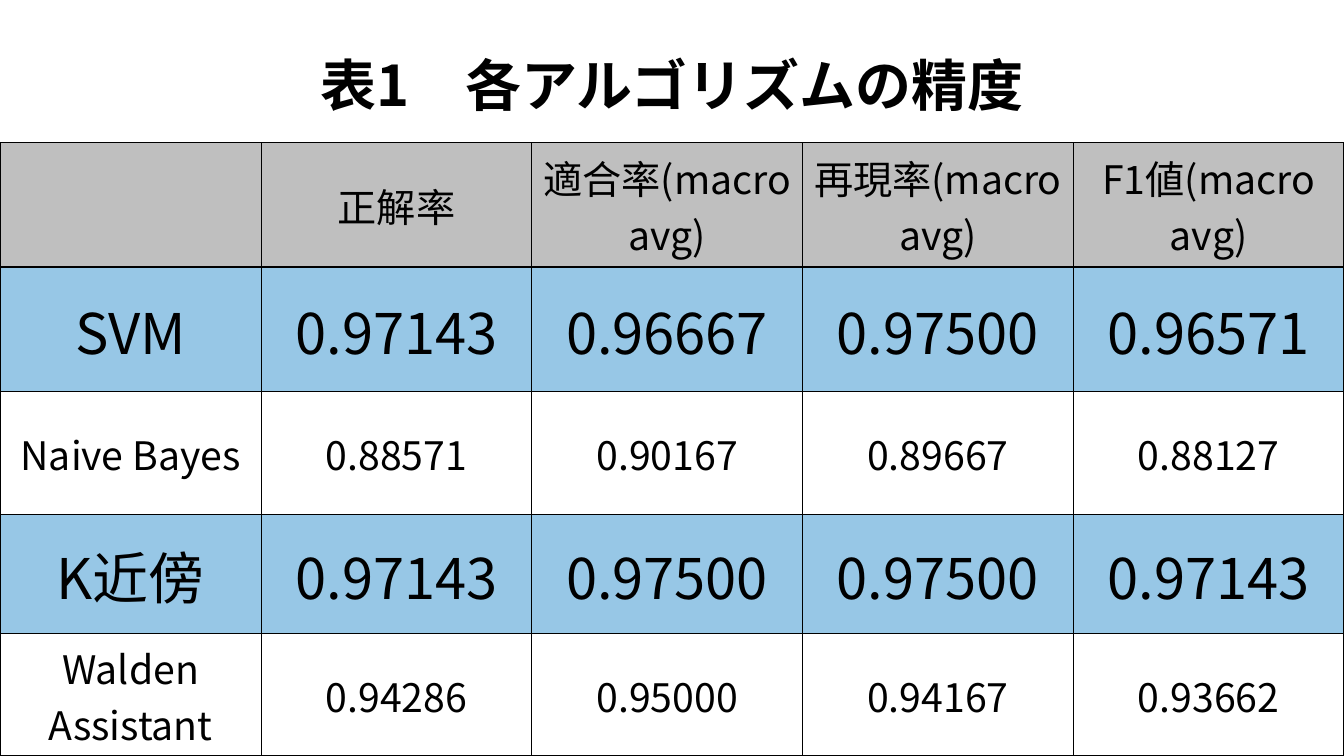
from dataclasses import dataclass

from lxml import etree
from pptx import Presentation
from pptx.dml.color import RGBColor
from pptx.enum.text import MSO_ANCHOR, MSO_AUTO_SIZE, PP_ALIGN
from pptx.oxml.ns import qn
from pptx.util import Cm, Pt

MIDDLE = MSO_ANCHOR.MIDDLE
CENTER = PP_ALIGN.CENTER
FIXED = MSO_AUTO_SIZE.NONE

TITLE = "表1　各アルゴリズムの精度"
HEAD = ["", "正解率", "適合率(macro avg)", "再現率(macro avg)", "F1値(macro avg)"]
SCORES = [
    ("SVM", 0.97143, 0.96667, 0.97500, 0.96571),
    ("Naive Bayes", 0.88571, 0.90167, 0.89667, 0.88127),
    ("K近傍", 0.97143, 0.97500, 0.97500, 0.97143),
    ("Walden Assistant", 0.94286, 0.95000, 0.94167, 0.93662),
]
BEST = {"SVM", "K近傍"}

WIDTH, HEIGHT = Cm(33.87), Cm(19.05)
TOP = Cm(3.6)
NAME_COL = Cm(6.58)
ROWS = [Cm(h) for h in (3.13, 3.13, 3.1, 3.01, 3.08)]


@dataclass(frozen=True)
class Theme:
    font: str = "Noto Sans CJK JP"
    ink: str = "000000"
    head: str = "BFBFBF"
    best: str = "97C7E6"
    large: int = 40
    normal: int = 28
    line: int = 1


THEME = Theme()


def style(para, size, bold=False):
    para.alignment = CENTER
    font = para.font
    font.name, font.size, font.bold = THEME.font, Pt(size), bold
    font.color.rgb = RGBColor.from_string(THEME.ink)
    east = etree.SubElement(font._element, qn("a:ea"))
    east.set("typeface", THEME.font)


def frame(cell):
    """Draw the four borders; must run before the cell is filled."""
    props = cell._tc.get_or_add_tcPr()
    for side in ("lnL", "lnR", "lnT", "lnB"):
        line = etree.SubElement(props, qn(f"a:{side}"), w=str(Pt(THEME.line)))
        fill = etree.SubElement(line, qn("a:solidFill"))
        etree.SubElement(fill, qn("a:srgbClr"), val=THEME.ink)


def fill_cell(cell, text, size, color):
    cell.margin_left = cell.margin_right = cell.margin_top = Cm(0.03)
    cell.margin_bottom = 0
    cell.vertical_anchor = MIDDLE
    frame(cell)
    if color:
        cell.fill.solid()
        cell.fill.fore_color.rgb = RGBColor.from_string(color)
    else:
        cell.fill.background()
    cell.text = text
    style(cell.text_frame.paragraphs[0], size)


def add_title(slide):
    title = slide.shapes.title
    title.left, title.top = Cm(5.16), Cm(0.41)
    title.width, title.height = Cm(23.55), Cm(2.59)
    text = title.text_frame
    text.text = TITLE
    text.word_wrap = True
    text.auto_size = FIXED
    text.vertical_anchor = MIDDLE
    para = text.paragraphs[0]
    para.line_spacing = 1.5
    style(para, THEME.large, bold=True)


def add_scores(slide):
    lines = [(HEAD, THEME.normal, THEME.head)]
    for name, *values in SCORES:
        texts = [name] + [f"{v:.5f}" for v in values]
        if name in BEST:
            lines.append((texts, THEME.large, THEME.best))
        else:
            lines.append((texts, THEME.normal, None))

    shape = slide.shapes.add_table(
        len(lines), len(HEAD), 0, TOP, WIDTH, sum(ROWS))
    table = shape.table
    table.first_row = table.horz_banding = False
    rest = (WIDTH - NAME_COL) // (len(HEAD) - 1)
    for i, col in enumerate(table.columns):
        col.width = rest if i else NAME_COL
    for row, high, (texts, size, color) in zip(table.rows, ROWS, lines):
        row.height = high
        for cell, text in zip(row.cells, texts):
            fill_cell(cell, text, size, color)


def main():
    deck = Presentation()
    deck.slide_width, deck.slide_height = WIDTH, HEIGHT
    slide = deck.slides.add_slide(deck.slide_layouts[5])
    add_scores(slide)
    add_title(slide)
    deck.save("out.pptx")


if __name__ == "__main__":
    main()
